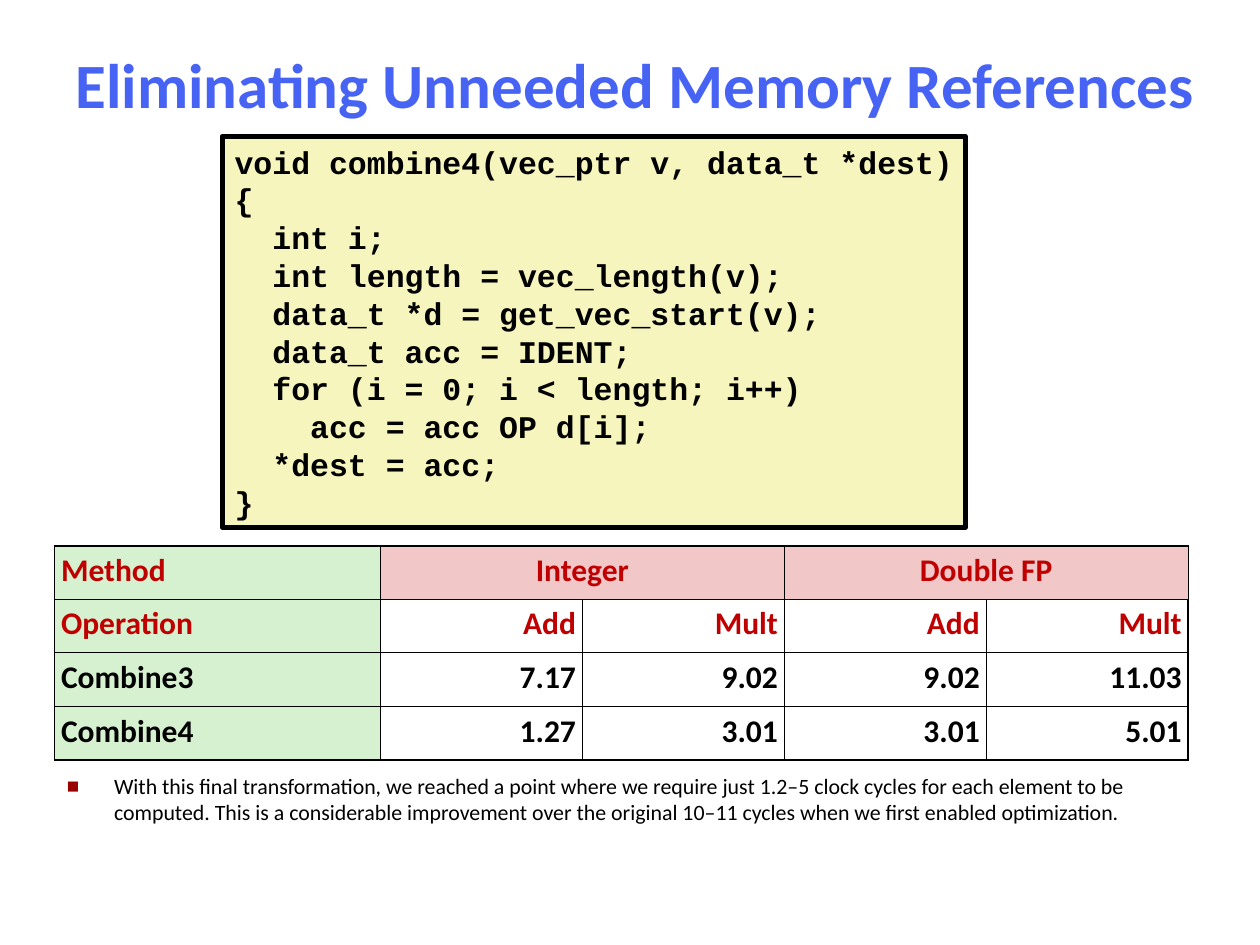
from dataclasses import dataclass

from lxml import etree
from pptx import Presentation
from pptx import util as u
from pptx.dml.color import RGBColor
from pptx.enum import shapes, text
from pptx.oxml.ns import qn


@dataclass(frozen=True)
class Theme:
    """Colours, fonts and point sizes of the slide."""
    title: str = "4763F3"
    ink: str = "000000"
    heading: str = "C00000"
    bullet: str = "990000"
    code_fill: str = "F6F5BD"
    label_fill: str = "D5F1CF"
    group_fill: str = "F1C7C7"
    sans: str = "Calibri"
    mono: str = "Courier New"
    title_size: float = 36
    body_size: float = 18
    note_size: float = 12.5
    outer_line: float = 1.08
    inner_line: float = 0.45


@dataclass(frozen=True)
class Box:
    """A region of the slide in centimetres."""
    left: float
    top: float
    width: float
    height: float

    def emu(self):
        """Return the four lengths for python-pptx."""
        return [u.Cm(v) for v in (self.left, self.top, self.width, self.height)]


THEME = Theme()
TITLE = "Eliminating Unneeded Memory References"
CODE = """void combine4(vec_ptr v, data_t *dest)
{
  int i;
  int length = vec_length(v);
  data_t *d = get_vec_start(v);
  data_t acc = IDENT;
  for (i = 0; i < length; i++)
    acc = acc OP d[i];
  *dest = acc;
}"""
TIMINGS = [
    ["Method", "Integer", "", "Double FP", ""],
    ["Operation", "Add", "Mult", "Add", "Mult"],
    ["Combine3", "7.17", "9.02", "9.02", "11.03"],
    ["Combine4", "1.27", "3.01", "3.01", "5.01"],
]
CONCLUSION = (
    "With this final transformation, we reached a point where we require just "
    "1.2–5 clock cycles for each element to be computed. This is a considerable "
    "improvement over the original 10–11 cycles when we first enabled optimization."
)


def write(frame, content, size=THEME.body_size, color=THEME.ink, font=THEME.sans,
          bold=True, align=text.PP_ALIGN.LEFT, before=0, spacing=None):
    """Write each line of content as one formatted paragraph."""
    for index, line in enumerate(content.split("\n")):
        paragraph = frame.add_paragraph() if index else frame.paragraphs[0]
        paragraph.alignment = align
        paragraph.space_before = u.Pt(before)
        paragraph.line_spacing = spacing
        run = paragraph.add_run()
        run.text = line
        run.font.size = u.Pt(size)
        run.font.name = font
        run.font.bold = bold
        run.font.color.rgb = RGBColor.from_string(color)


def add_title(slide, box):
    """Place the centred slide title."""
    frame = slide.shapes.add_textbox(*box.emu()).text_frame
    frame.word_wrap = True
    frame.vertical_anchor = text.MSO_ANCHOR.MIDDLE
    write(frame, TITLE, size=THEME.title_size, color=THEME.title,
          align=text.PP_ALIGN.CENTER)


def add_code(slide, box):
    """Place the framed code listing."""
    listing = slide.shapes.add_shape(shapes.MSO_SHAPE.RECTANGLE, *box.emu())
    listing.shadow.inherit = False
    listing.fill.solid()
    listing.fill.fore_color.rgb = RGBColor.from_string(THEME.code_fill)
    listing.line.color.rgb = RGBColor.from_string(THEME.ink)
    listing.line.width = u.Pt(3)
    frame = listing.text_frame
    frame.word_wrap = False
    frame.auto_size = text.MSO_AUTO_SIZE.SHAPE_TO_FIT_TEXT
    frame.vertical_anchor = text.MSO_ANCHOR.TOP
    write(frame, CODE, font=THEME.mono)


def set_borders(cell, outer):
    """Draw the four cell borders, thicker on the outer sides."""
    properties = cell._tc.get_or_add_tcPr()
    for side in "LRTB":
        width = THEME.outer_line if side in outer else THEME.inner_line
        line = etree.SubElement(properties, qn(f"a:ln{side}"), w=str(u.Pt(width)))
        fill = etree.SubElement(line, qn("a:solidFill"))
        etree.SubElement(fill, qn("a:srgbClr"), val=THEME.ink)


def format_cell(cell, content, row, column):
    """Fill, border and write one cell according to its position."""
    edges = {"L": column == 0, "R": column == len(TIMINGS[0]) - 1,
             "T": row == 0, "B": row == len(TIMINGS) - 1}
    set_borders(cell, [side for side, is_outer in edges.items() if is_outer])
    if row and column:
        cell.fill.background()
    else:
        cell.fill.solid()
        cell.fill.fore_color.rgb = RGBColor.from_string(
            THEME.group_fill if column else THEME.label_fill)
    cell.margin_left = cell.margin_right = u.Cm(0.13)
    cell.margin_top = cell.margin_bottom = u.Cm(0.13)
    if column == 0:
        align = text.PP_ALIGN.LEFT
    else:
        align = text.PP_ALIGN.RIGHT if row else text.PP_ALIGN.CENTER
    if content:
        write(cell.text_frame, content, align=align, before=11.2, spacing=0.95,
              color=THEME.heading if row < 2 else THEME.ink)


def add_timings(slide, box, label_width=6.57):
    """Place the timing table with its two grouped headings."""
    rows, columns = len(TIMINGS), len(TIMINGS[0])
    table = slide.shapes.add_table(rows, columns, *box.emu()).table
    table.first_row = table.horz_banding = False
    value_width = (box.width - label_width) / (columns - 1)
    for index, column in enumerate(table.columns):
        column.width = u.Cm(value_width if index else label_width)
    for row in table.rows:
        row.height = u.Cm(box.height / rows)
    for start in (1, 3):
        table.cell(0, start).merge(table.cell(0, start + 1))
    for row, values in enumerate(TIMINGS):
        for column, content in enumerate(values):
            format_cell(table.cell(row, column), content, row, column)


def add_conclusion(slide, box, indent=0.95):
    """Place the bulleted remark below the table."""
    frame = slide.shapes.add_textbox(*box.emu()).text_frame
    frame.word_wrap = True
    write(frame, CONCLUSION, size=THEME.note_size, bold=False, before=5)
    properties = frame.paragraphs[0]._p.get_or_add_pPr()
    properties.set("marL", str(u.Cm(indent)))
    properties.set("indent", str(-u.Cm(indent)))
    color = etree.SubElement(properties, qn("a:buClr"))
    etree.SubElement(color, qn("a:srgbClr"), val=THEME.bullet)
    etree.SubElement(properties, qn("a:buSzPct"), val="60000")
    etree.SubElement(properties, qn("a:buFont"), typeface=THEME.sans)
    etree.SubElement(properties, qn("a:buChar"), char="■")


def main():
    """Build and save the slide."""
    deck = Presentation()
    deck.slide_width, deck.slide_height = u.Cm(25.4), u.Cm(19.05)
    slide = deck.slides.add_slide(deck.slide_layouts[6])
    add_title(slide, Box(0.84, 0.64, 23.92, 2.1))
    add_conclusion(slide, Box(1.1, 15.45, 22.8, 1.5))
    add_code(slide, Box(4.48, 2.75, 14.98, 7.88))
    add_timings(slide, Box(1.1, 11, 22.85, 4.32))
    deck.save("out.pptx")


if __name__ == "__main__":
    main()
